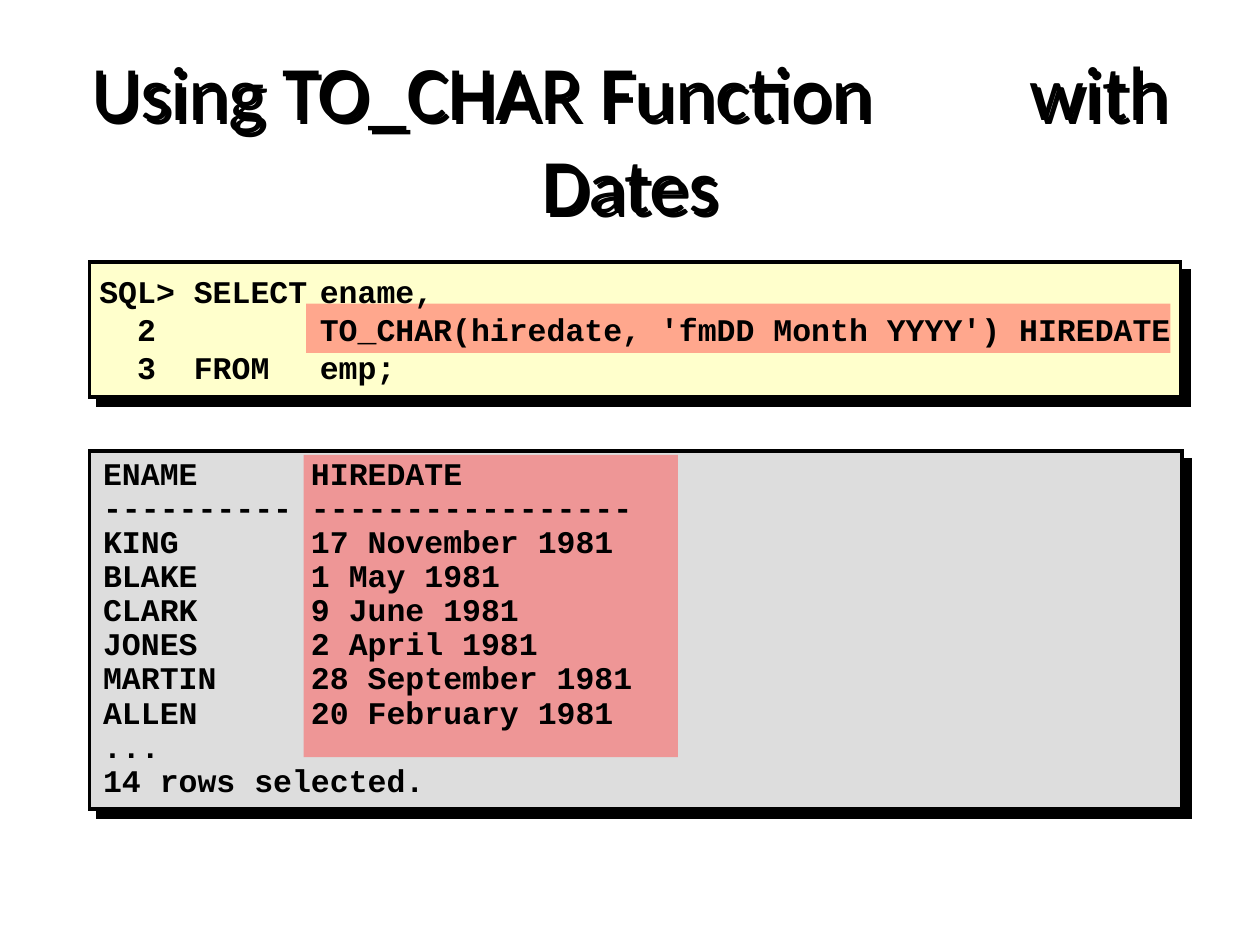
from dataclasses import dataclass

from lxml import etree
from pptx import Presentation
from pptx import util as u
from pptx.dml.color import RGBColor
from pptx.enum import shapes, text
from pptx.oxml import ns


@dataclass(frozen=True)
class Theme:
    ink: str = "000000"
    query_fill: str = "FFFFCC"
    result_fill: str = "DDDDDD"
    highlight: str = "FF5050"
    title_font: str = "Calibri"
    code_font: str = "Courier New"
    title_size: int = 44
    code_size: int = 18
    border: int = 2
    panel_shadow: float = 7.1
    title_shadow: float = 3


@dataclass(frozen=True)
class Area:
    left: float
    top: float
    width: float
    height: float

    def lengths(self) -> tuple:
        return tuple(u.Inches(n) for n in (self.left, self.top, self.width, self.height))


@dataclass(frozen=True)
class Listing:
    area: Area
    lines: tuple
    tabs: tuple
    anchor: text.MSO_ANCHOR
    spacing: float = 1.0


THEME = Theme()

QUERY = Listing(
    Area(0.69, 1.87, 8.8, 1.48),
    ("SQL>\tSELECT\tename,",
     "  2\t\tTO_CHAR(hiredate, 'fmDD Month YYYY') HIREDATE",
     "  3\tFROM\temp;"),
    (0.75, 1.75),
    text.MSO_ANCHOR.MIDDLE,
)
RESULT = Listing(
    Area(0.72, 3.59, 7.94, 2.81),
    ("ENAME\tHIREDATE",
     "----------\t-----------------",
     "KING\t17 November 1981",
     "BLAKE\t1 May 1981",
     "CLARK\t9 June 1981",
     "JONES\t2 April 1981",
     "MARTIN\t28 September 1981",
     "ALLEN\t20 February 1981",
     "...",
     "14 rows selected."),
    (1.65,),
    text.MSO_ANCHOR.TOP,
    0.9,
)


def add_child(parent, tag: str, **attributes):
    return etree.SubElement(parent, ns.qn(tag), attributes)


def add_hard_shadow(shape, distance: float) -> None:
    effects = add_child(shape._element.spPr, "a:effectLst")
    shadow = add_child(effects, "a:outerShdw", dist=str(u.Pt(distance)),
                       dir="2700000", algn="ctr", rotWithShape="0")
    add_child(shadow, "a:srgbClr", val=THEME.ink)


def add_block(page, area: Area, fill: str):
    block = page.shapes.add_shape(shapes.MSO_SHAPE.RECTANGLE, *area.lengths())
    block.fill.solid()
    block.fill.fore_color.rgb = RGBColor.from_string(fill)
    return block


def add_panel(page, area: Area, fill: str) -> None:
    panel = add_block(page, area, fill)
    panel.line.color.rgb = RGBColor.from_string(THEME.ink)
    panel.line.width = u.Pt(THEME.border)
    add_child(panel._element.spPr.find(ns.qn("a:ln")), "a:miter", lim="800000")
    add_hard_shadow(panel, THEME.panel_shadow)


def add_highlight(page, area: Area) -> None:
    band = add_block(page, area, THEME.highlight)
    band.line.fill.background()
    band.shadow.inherit = False
    color = band._element.spPr.find(".//" + ns.qn("a:srgbClr"))
    add_child(color, "a:alpha", val="50000")


def add_text_frame(page, area: Area, anchor: text.MSO_ANCHOR):
    box = page.shapes.add_textbox(*area.lengths())
    for key, value in {"word_wrap": True, "vertical_anchor": anchor}.items():
        setattr(box.text_frame, key, value)
    return box, box.text_frame


def add_span(para, words: str, name: str, size: int, bold: bool):
    span = para.add_run()
    span.text = words
    for key, value in {"name": name, "size": u.Pt(size), "bold": bold}.items():
        setattr(span.font, key, value)
    span.font.color.rgb = RGBColor.from_string(THEME.ink)
    return span


def add_title(page, area: Area, before: str, after: str, gap: float) -> None:
    box, frame = add_text_frame(page, area, text.MSO_ANCHOR.TOP)
    add_hard_shadow(box, THEME.title_shadow)
    para = frame.paragraphs[0]
    para.alignment = text.PP_ALIGN.CENTER
    # The middle span is one space, widened by character spacing
    for words, extra in ((before, 0), (" ", gap), (after, 0)):
        span = add_span(para, words, THEME.title_font, THEME.title_size, False)
        if extra:
            span._r.get_or_add_rPr().set("spc", str(round(extra * 100)))


def add_listing(page, listing: Listing) -> None:
    _, frame = add_text_frame(page, listing.area, listing.anchor)
    for index, line in enumerate(listing.lines):
        para = frame.paragraphs[0] if index == 0 else frame.add_paragraph()
        para.line_spacing = listing.spacing
        stops = add_child(para._p.get_or_add_pPr(), "a:tabLst")
        for stop in listing.tabs:
            add_child(stops, "a:tab", pos=str(u.Inches(stop)), algn="l")
        add_span(para, line, THEME.code_font, THEME.code_size, True)


def main() -> None:
    deck = Presentation()
    deck.slide_width, deck.slide_height = u.Inches(10), u.Inches(7.5)
    page = deck.slides.add_slide(deck.slide_layouts[6])

    # Panels behind the code
    add_panel(page, Area(0.71, 2.08, 8.66, 1.07), THEME.query_fill)
    add_panel(page, Area(0.71, 3.58, 8.67, 2.84), THEME.result_fill)

    # Title
    add_title(page, Area(0.5, 0.3, 9, 1.25), "Using TO_CHAR Function", "with Dates", 79.5)

    # Highlights on the function call and its column
    add_highlight(page, Area(2.43, 2.41, 6.86, 0.39))
    add_highlight(page, Area(2.41, 3.61, 2.97, 2.4))

    # Query and its output
    for listing in (QUERY, RESULT):
        add_listing(page, listing)

    deck.save("out.pptx")


if __name__ == "__main__":
    main()
